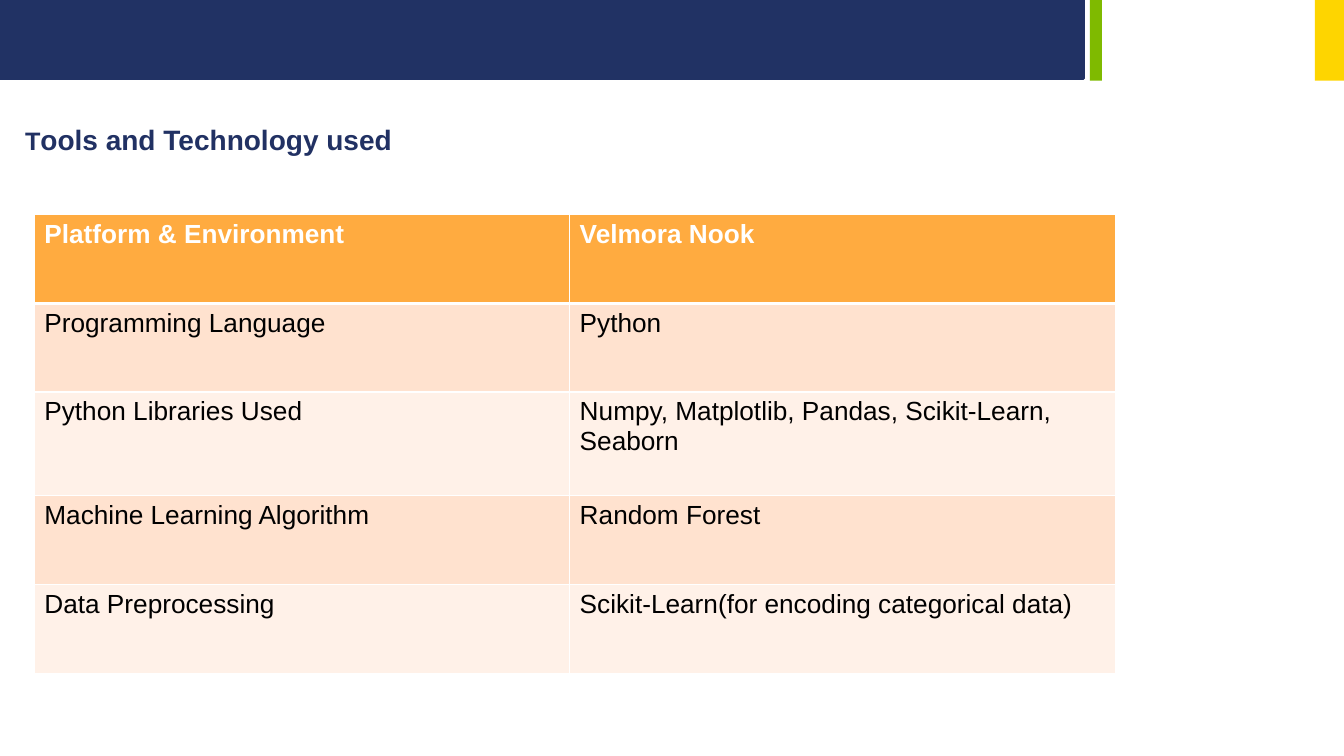
"""Build the slide listing the tools and technology used in the project."""
from dataclasses import dataclass
from typing import Optional

from lxml import etree
from pptx import Presentation
from pptx import util as u
from pptx.dml.color import RGBColor
from pptx.enum import shapes, text
from pptx.oxml import ns

EMU_PER_PX = 9144
FONT = "Arial"
COLORS = {
    "navy": "213264", "title": "213163", "green": "7FBA00", "yellow": "FED500",
    "orange": "FFAB40", "peach": "FFE2CF", "cream": "FFF1E8",
    "white": "FFFFFF", "black": "000000",
}


@dataclass(frozen=True)
class Bar:
    left: int
    width: int
    height: int
    color: str
    outline: Optional[float] = None


@dataclass(frozen=True)
class Tool:
    purpose: str
    choice: str
    height: int = 88


BARS = [
    Bar(0, 1075, 78, "navy", 2),
    Bar(1081, 12, 80, "green"),
    Bar(1304, 29, 80, "yellow"),
]
TITLE = [("T", 18), ("ools and Technology used", 20)]
TOOLS = [
    Tool("Platform & Environment", "Velmora Nook"),
    Tool("Programming Language", "Python"),
    Tool("Python Libraries Used", "Numpy, Matplotlib, Pandas, Scikit-Learn, Seaborn", 103),
    Tool("Machine Learning Algorithm", "Random Forest"),
    Tool("Data Preprocessing", "Scikit-Learn(for encoding categorical data)"),
]
COLUMN_WIDTHS = [531, 541]


def px(length: int) -> u.Emu:
    return u.Emu(length * EMU_PER_PX)


def rgb(color: str) -> RGBColor:
    return RGBColor.from_string(COLORS[color])


def style_font(font, color: str, bold: bool) -> None:
    font.name = FONT
    font.bold = bold
    font.color.rgb = rgb(color)


def draw_bar(slide, bar: Bar) -> None:
    band = slide.shapes.add_shape(
        shapes.MSO_SHAPE.RECTANGLE, px(bar.left), 0, px(bar.width), px(bar.height))
    band.shadow.inherit = False
    band.fill.solid()
    band.fill.fore_color.rgb = rgb(bar.color)
    if bar.outline is None:
        band.line.fill.background()
    else:
        band.line.color.rgb = rgb(bar.color)
        band.line.width = u.Pt(bar.outline)


def draw_title(slide) -> None:
    frame = slide.shapes.add_textbox(px(15), px(117), px(667), px(44)).text_frame
    frame.word_wrap = True
    frame.auto_size = text.MSO_AUTO_SIZE.SHAPE_TO_FIT_TEXT
    heading = frame.paragraphs[0]
    style_font(heading.font, "title", True)
    for words, size in TITLE:
        run = heading.add_run()
        run.text = words
        run.font.size = u.Pt(size)


def add_borders(cell, row: int) -> None:
    widths = {"L": 1, "R": 1, "T": 3 if row == 1 else 1, "B": 3 if row == 0 else 1}
    properties = cell._tc.get_or_add_tcPr()
    for side, width in widths.items():
        border = etree.SubElement(properties, ns.qn(f"a:ln{side}"), w=str(u.Pt(width)))
        fill = etree.SubElement(border, ns.qn("a:solidFill"))
        etree.SubElement(fill, ns.qn("a:srgbClr"), val=COLORS["white"])


def fill_cell(cell, words: str, row: int) -> None:
    header = row == 0
    add_borders(cell, row)
    cell.fill.solid()
    cell.fill.fore_color.rgb = rgb("orange" if header else "peach" if row % 2 else "cream")
    cell.text = words
    label = cell.text_frame.paragraphs[0]
    style_font(label.font, "white" if header else "black", header)
    label.font.size = u.Pt(18.7)


def draw_tools(slide) -> None:
    tools = slide.shapes.add_table(
        len(TOOLS), len(COLUMN_WIDTHS), px(34), px(213),
        px(sum(COLUMN_WIDTHS)), px(sum(tool.height for tool in TOOLS))).table
    for column, width in zip(tools.columns, COLUMN_WIDTHS):
        column.width = px(width)
    for row, tool in enumerate(TOOLS):
        tools.rows[row].height = px(tool.height)
        for column, words in enumerate((tool.purpose, tool.choice)):
            fill_cell(tools.cell(row, column), words, row)


def main() -> None:
    deck = Presentation()
    deck.slide_width, deck.slide_height = px(1333), px(750)
    slide = deck.slides.add_slide(deck.slide_layouts[6])
    for bar in BARS:
        draw_bar(slide, bar)
    draw_title(slide)
    draw_tools(slide)
    deck.save("out.pptx")


if __name__ == "__main__":
    main()
